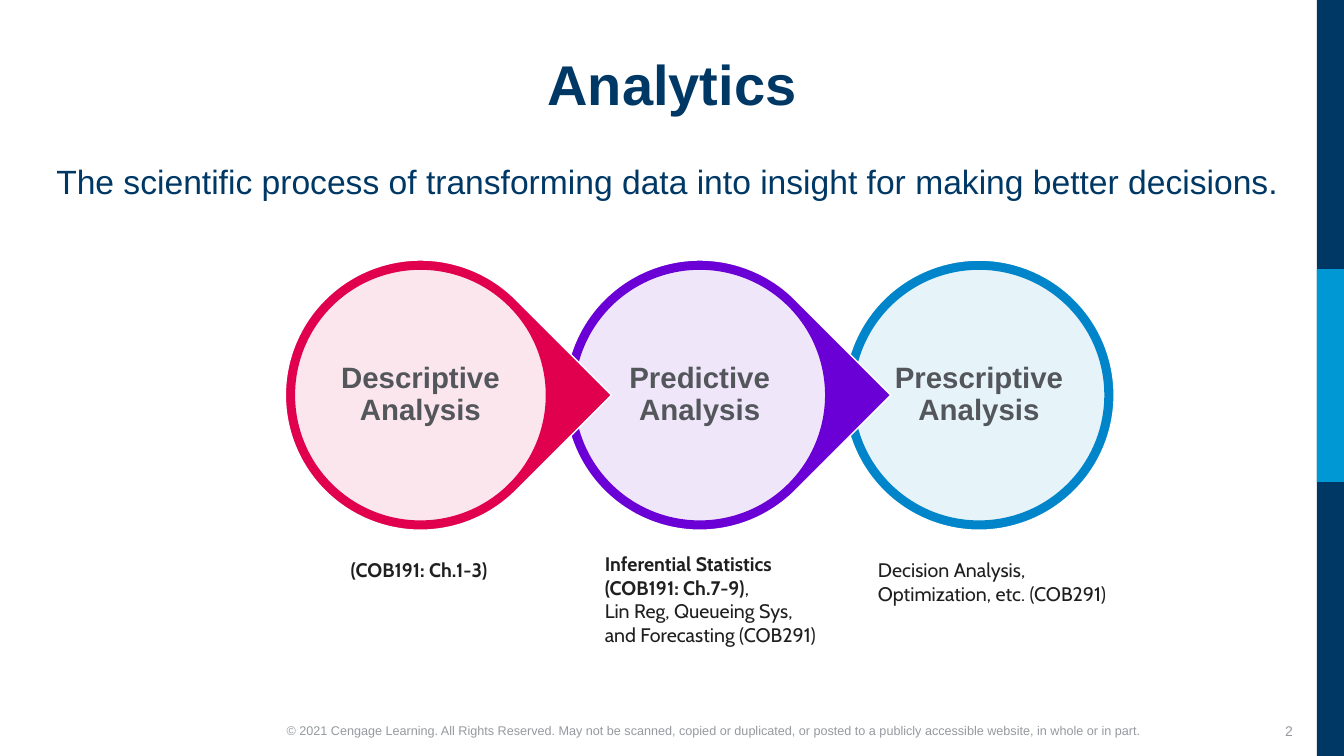
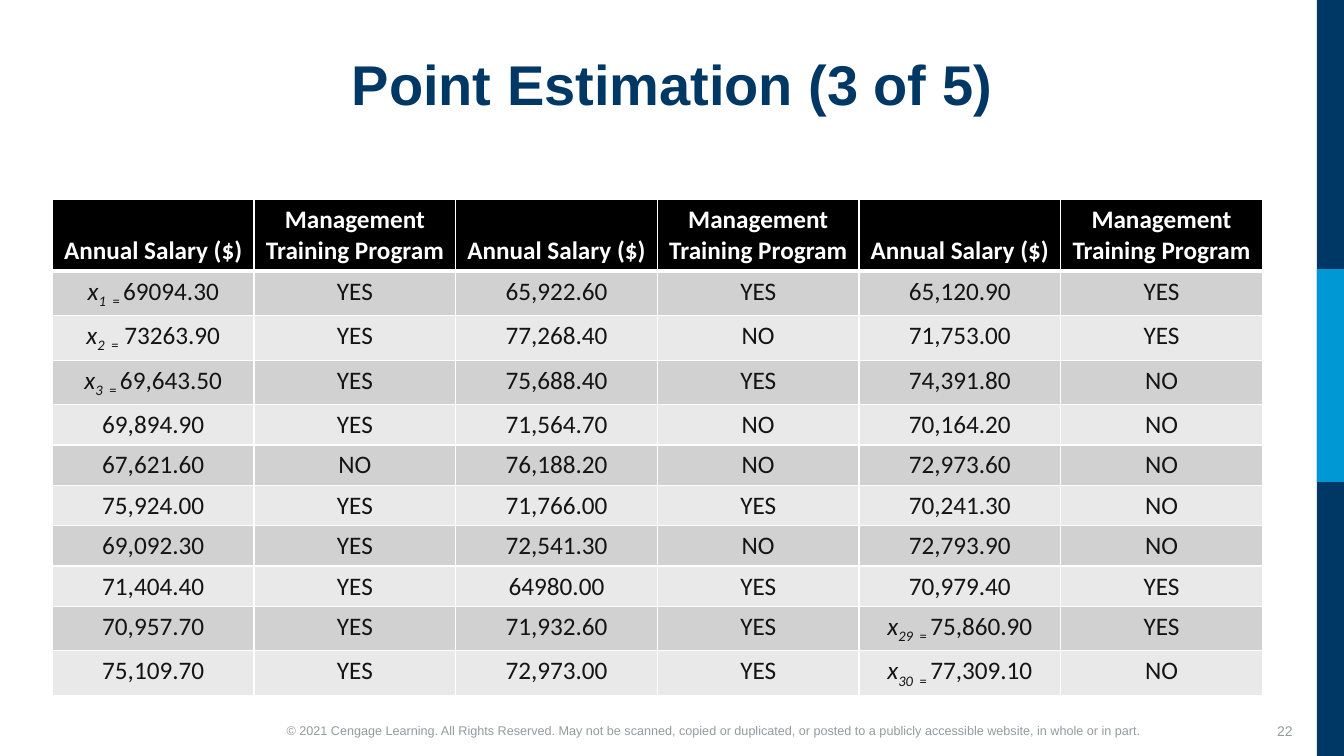
import pptx
import pptx.dml.color
import pptx.enum.shapes
import pptx.enum.text
import pptx.oxml
import pptx.oxml.ns
import pptx.util

Inches = pptx.util.Inches
Pt = pptx.util.Pt
ALIGN = pptx.enum.text.PP_ALIGN
ANCHOR = pptx.enum.text.MSO_ANCHOR
SHAPE = pptx.enum.shapes.MSO_SHAPE

NAVY, SKY, WHITE, BLACK = "003865", "0098D4", "FFFFFF", "000000"
GREY, SLATE, INK, CELL_INK = "96999E", "53565A", "1F1F1F", "141414"
BAND_FILLS = ("D1D1D2", "E9E9EA")
COPYRIGHT = (
    "© 2021 Cengage Learning. All Rights Reserved. May not be scanned, copied or "
    "duplicated, or posted to a publicly accessible website, in whole or in part."
)

STAGES = [
    ("Descriptive Analysis", "E0004D", SHAPE.TEAR),
    ("Predictive Analysis", "6A00D5", SHAPE.TEAR),
    ("Prescriptive Analysis", "0085CA", SHAPE.OVAL),
]
STAGE_LEFT, STAGE_TOP, STAGE_PITCH = 2.83, 2.58, 2.77
RING_SIZE, DISC_INSET = 2.68, 0.09

NOTES = [
    ((3.38, 5.49, 2.15, 0.34), [[("(COB191: Ch.1-3)", True)]]),
    ((5.9, 5.43, 2.34, 1.04), [
        [("Inferential Statistics", True)],
        [("(COB191: Ch.7-9)", True), (",", False)],
        [("Lin Reg, Queueing Sys,", False)],
        [("and Forecasting (COB291)", False)],
    ]),
    ((8.61, 5.49, 2.5, 0.57),
     [[("Decision Analysis, Optimization, etc. (COB291)", False)]]),
]

SALARY_HEADER = ["Annual Salary ($)", "Management Training Program"] * 3
SALARY_ROWS = [
    ["x|1 | = |69094.30", "YES", "65,922.60", "YES", "65,120.90", "YES"],
    ["x|2 | =| 73263.90", "YES", "77,268.40", "NO", "71,753.00", "YES"],
    ["x|3 | = |69,643.50", "YES", "75,688.40", "YES", "74,391.80", "NO"],
    ["69,894.90", "YES", "71,564.70", "NO", "70,164.20", "NO"],
    ["67,621.60", "NO", "76,188.20", "NO", "72,973.60", "NO"],
    ["75,924.00", "YES", "71,766.00", "YES", "70,241.30", "NO"],
    ["69,092.30", "YES", "72,541.30", "NO", "72,793.90", "NO"],
    ["71,404.40", "YES", "64980.00", "YES", "70,979.40", "YES"],
    ["70,957.70", "YES", "71,932.60", "YES", "x|29 | = |75,860.90", "YES"],
    ["75,109.70", "YES", "72,973.00", "YES", "x|30 | = |77,309.10", "NO"],
]


def rgb(color):
    return pptx.dml.color.RGBColor.from_string(color)


def style_span(span, size, color, font="Arial", bold=False, italic=False):
    span.font.name = font
    span.font.size = Pt(size)
    span.font.bold = bold
    span.font.italic = italic
    span.font.color.rgb = rgb(color)


def write_line(frame, text, size, color, bold=False, align=ALIGN.LEFT, spacing=1.0):
    frame.word_wrap = True
    frame.text = text
    para = frame.paragraphs[0]
    para.alignment = align
    para.line_spacing = spacing
    style_span(para.runs[0], size, color, bold=bold)


def add_text(page, place, text, size, color, align=ALIGN.LEFT, anchor=ANCHOR.TOP):
    box = page.shapes.add_textbox(*map(Inches, place))
    box.text_frame.vertical_anchor = anchor
    write_line(box.text_frame, text, size, color, align=align)
    return box


def add_filled_shape(page, kind, place, fill, line=None):
    shape = page.shapes.add_shape(kind, *map(Inches, place))
    shape.shadow.inherit = False
    shape.fill.solid()
    shape.fill.fore_color.rgb = rgb(fill)
    if line:
        shape.line.color.rgb = rgb(line)
        shape.line.width = Pt(1)
    else:
        shape.line.fill.background()
    return shape


def set_opacity(shape, percent):
    color = shape.element.spPr.find(".//" + pptx.oxml.ns.qn("a:srgbClr"))
    color.append(pptx.oxml.parse_xml(
        f'<a:alpha {pptx.oxml.ns.nsdecls("a")} val="{percent * 1000}"/>'))


def set_up_layout(layout, page):
    title = layout.placeholders[0]
    title.left, title.top, title.width, title.height = map(
        Inches, (0.52, 0.52, 12.29, 1.33))
    furniture = [
        add_text(page, (1.82, 7.12, 10.51, 0.25), COPYRIGHT, 9, GREY, ALIGN.CENTER),
        add_filled_shape(page, SHAPE.RECTANGLE, (13.06, 0, 0.28, 7.5), NAVY),
        add_filled_shape(page, SHAPE.RECTANGLE, (13.06, 2.67, 0.28, 2.11), SKY),
    ]
    for item in furniture:
        layout.shapes.element.append(item.element)


def fill_page(page, title, number):
    frame = page.shapes.title.text_frame
    frame.vertical_anchor = ANCHOR.TOP
    write_line(frame, title, 40, NAVY, True, ALIGN.CENTER, 0.9)
    add_text(page, (12.12, 7.05, 0.8, 0.4), number, 10, GREY,
             ALIGN.RIGHT, ANCHOR.MIDDLE)


def add_stage(page, position, label, color, kind):
    left = STAGE_LEFT + position * STAGE_PITCH
    ring = add_filled_shape(
        page, kind, (left, STAGE_TOP, RING_SIZE, RING_SIZE), color, WHITE)
    if kind == SHAPE.TEAR:
        ring.rotation = 45
    disc_size = RING_SIZE - 2 * DISC_INSET
    disc = add_filled_shape(
        page, SHAPE.OVAL,
        (left + DISC_INSET, STAGE_TOP + DISC_INSET, disc_size, disc_size),
        WHITE, color)
    set_opacity(disc, 90)
    frame = disc.text_frame
    frame.margin_left = frame.margin_right = Inches(0.03)
    frame.margin_top = frame.margin_bottom = Inches(0.03)
    frame.vertical_anchor = ANCHOR.MIDDLE
    write_line(frame, label, 21, SLATE, True, ALIGN.CENTER, 0.9)


def add_note(page, place, lines):
    frame = page.shapes.add_textbox(*map(Inches, place)).text_frame
    frame.word_wrap = True
    for index, line in enumerate(lines):
        para = frame.add_paragraph() if index else frame.paragraphs[0]
        for text, bold in line:
            span = para.add_run()
            span.text = text
            style_span(span, 14, INK, "Cabin", bold)


def set_borders(cell, top, bottom):
    properties = cell._tc.get_or_add_tcPr()
    for side, width in (("L", 1), ("R", 1), ("T", top), ("B", bottom)):
        properties.append(pptx.oxml.parse_xml(
            f'<a:ln{side} {pptx.oxml.ns.nsdecls("a")} w="{Pt(width)}"><a:solidFill>'
            f'<a:srgbClr val="{WHITE}"/></a:solidFill></a:ln{side}>'))


def fill_cell(cell, content, row):
    header = row == 0
    set_borders(cell, 3 if row == 1 else 1, 3 if header else 1)
    cell.fill.solid()
    cell.fill.fore_color.rgb = rgb(BLACK if header else BAND_FILLS[(row - 1) % 2])
    cell.vertical_anchor = ANCHOR.BOTTOM if header else ANCHOR.TOP
    para = cell.text_frame.paragraphs[0]
    para.alignment = ALIGN.CENTER
    pieces = content.split("|")
    for index, text in enumerate(pieces):
        span = para.add_run()
        span.text = text
        style_span(span, 18, WHITE if header else CELL_INK, "Calibri", header,
                   len(pieces) > 1 and index < 2)
        if index in (1, 2):
            span.font._element.set("baseline", "-25000")


def add_salary_table(page):
    rows = [SALARY_HEADER] + SALARY_ROWS
    frame = page.shapes.add_table(
        len(rows), len(SALARY_HEADER), *map(Inches, (0.52, 1.98, 12, 4.94)))
    table = frame.table
    for row, contents in enumerate(rows):
        indexed = any("|" in content for content in contents)
        table.rows[row].height = Inches(0.71 if row == 0 else 0.44 if indexed else 0.4)
        for column, content in enumerate(contents):
            fill_cell(table.cell(row, column), content, row)


def build_analytics(page):
    fill_page(page, "Analytics", "2")
    add_text(page, (0.46, 1.55, 12.41, 0.98),
             "The scientific process of transforming data into insight "
             "for making better decisions.", 24, NAVY)
    for position, stage in reversed(list(enumerate(STAGES))):
        add_stage(page, position, *stage)
    for place, lines in NOTES:
        add_note(page, place, lines)


def build_point_estimation(page):
    fill_page(page, "Point Estimation (3 of 5)", "22")
    add_salary_table(page)


def main():
    deck = pptx.Presentation()
    deck.slide_width, deck.slide_height = Inches(13.33), Inches(7.5)
    layout = deck.slide_layouts.get_by_name("Title Only")
    analytics = deck.slides.add_slide(layout)
    set_up_layout(layout, analytics)
    build_analytics(analytics)
    build_point_estimation(deck.slides.add_slide(layout))
    deck.save("out.pptx")


if __name__ == "__main__":
    main()
